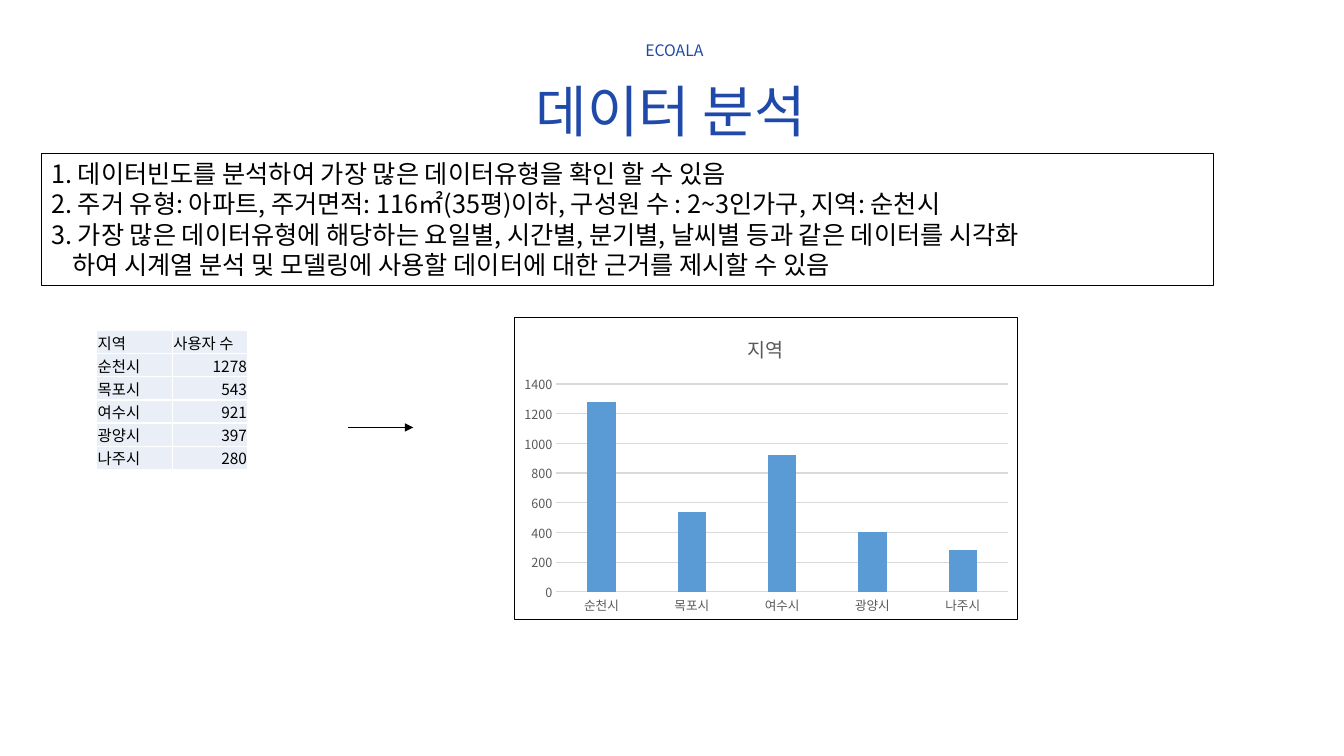
"""Build the data analysis slide with a region table and a column chart."""
from typing import NamedTuple

from lxml.etree import SubElement
from pptx import Presentation
from pptx.chart.data import CategoryChartData
from pptx.dml.color import RGBColor
from pptx.enum.chart import XL_CHART_TYPE, XL_TICK_MARK
from pptx.enum.shapes import MSO_CONNECTOR, MSO_SHAPE
from pptx.enum.text import MSO_ANCHOR, PP_ALIGN
from pptx.oxml import parse_xml
from pptx.oxml.ns import nsdecls, qn
from pptx.slide import Slide
from pptx.text.text import Font
from pptx.util import Pt

FONT = "Noto Sans CJK KR"
BLACK = RGBColor(0x00, 0x00, 0x00)
WHITE = RGBColor(0xFF, 0xFF, 0xFF)
BLUE = RGBColor(0x20, 0x4A, 0xA9)
BAR = RGBColor(0x5B, 0x9B, 0xD5)
CELL = RGBColor(0xEA, 0xEF, 0xF7)
GRID = RGBColor(0xD9, 0xD9, 0xD9)
GRAY = RGBColor(0x59, 0x59, 0x59)


class Heading(NamedTuple):
    text: str
    left: float
    top: float
    width: float
    height: float
    size: float
    spacing: float


class Region(NamedTuple):
    name: str
    users: int


HEADINGS = [
    Heading("데이터 분석", 139.7, 46.8, 679, 51.1, 40, 56),
    Heading("ECOALA", 416.2, 26.6, 131, 15.8, 11.3, 15.9),
]
FINDINGS = [
    "1. 데이터빈도를 분석하여 가장 많은 데이터유형을 확인 할 수 있음",
    "2. 주거 유형: 아파트, 주거면적: 116㎡(35평)이하, 구성원 수 : 2~3인가구, 지역: 순천시",
    "3. 가장 많은 데이터유형에 해당하는 요일별, 시간별, 분기별, 날씨별 등과 같은 데이터를 시각화\v"
    "하여 시계열 분석 및 모델링에 사용할 데이터에 대한 근거를 제시할 수 있음",
]
REGIONS = [
    Region("순천시", 1278),
    Region("목포시", 543),
    Region("여수시", 921),
    Region("광양시", 397),
    Region("나주시", 280),
]


def set_font(font: Font, size: float, color: RGBColor) -> None:
    font.size = Pt(size)
    font.bold = False
    font.color.rgb = color
    font.name = FONT


def add_heading(s: Slide, h: Heading) -> None:
    sp = s.shapes.add_textbox(Pt(h.left), Pt(h.top), Pt(h.width), Pt(h.height))
    tf = sp.text_frame
    tf.word_wrap = True
    tf.margin_left = tf.margin_right = tf.margin_top = tf.margin_bottom = 0
    p = tf.paragraphs[0]
    p.text = h.text
    p.alignment = PP_ALIGN.CENTER
    p.line_spacing = Pt(h.spacing)
    set_font(p.font, h.size, BLUE)


def add_findings(s: Slide) -> None:
    sp = s.shapes.add_shape(MSO_SHAPE.RECTANGLE, Pt(29.5), Pt(109.4), Pt(837), Pt(94.3))
    sp.shadow.inherit = False
    sp.fill.background()
    sp.line.color.rgb = BLACK
    sp.line.width = Pt(0.75)
    tf = sp.text_frame
    tf.word_wrap = True
    tf.vertical_anchor = MSO_ANCHOR.TOP
    for i, text in enumerate(FINDINGS):
        p = tf.add_paragraph() if i else tf.paragraphs[0]
        p.text = text
        p.alignment = PP_ALIGN.LEFT
        p.line_spacing = Pt(21.7)
        pPr = p._p.get_or_add_pPr()
        pPr.set("marL", str(Pt(15)))
        pPr.set("indent", str(Pt(-15)))
        set_font(p.font, 18, BLACK)


def add_arrow(s: Slide) -> None:
    sp = s.shapes.add_connector(MSO_CONNECTOR.STRAIGHT, Pt(248.4), Pt(305.3), Pt(295.2), Pt(305.3))
    sp.line.color.rgb = BLACK
    sp.line.width = Pt(0.5)
    SubElement(sp.line._get_or_add_ln(), qn("a:tailEnd"), type="triangle")
    SubElement(sp._element.spPr, qn("a:effectLst"))


def add_region_table(s: Slide) -> None:
    rows = [("지역", "사용자 수"), *REGIONS]
    frame = s.shapes.add_table(len(rows), 2, Pt(69.1), Pt(236.2), Pt(108), Pt(16.5 * len(rows)))
    table = frame.table
    table.first_row = table.horz_banding = False
    for r, values in enumerate(rows):
        for c, value in enumerate(values):
            cell = table.cell(r, c)
            cell.margin_left = cell.margin_right = Pt(0.72)
            cell.margin_top = Pt(0.5)
            cell.margin_bottom = 0
            cell.vertical_anchor = MSO_ANCHOR.MIDDLE
            tcPr = cell._tc.get_or_add_tcPr()
            for side in ("lnL", "lnR", "lnT", "lnB"):
                tcPr.append(parse_xml(
                    f'<a:{side} {nsdecls("a")} w="{Pt(1)}"><a:solidFill>'
                    f'<a:srgbClr val="{WHITE}"/></a:solidFill></a:{side}>'))
            cell.fill.solid()
            cell.fill.fore_color.rgb = CELL
            p = cell.text_frame.paragraphs[0]
            p.text = str(value)
            p.alignment = PP_ALIGN.RIGHT if r and c else PP_ALIGN.LEFT
            set_font(p.font, 11, BLACK)


def add_region_chart(s: Slide) -> None:
    data = CategoryChartData()
    data.categories = [region.name for region in REGIONS]
    data.add_series("지역", [round(region.users, -1) for region in REGIONS])
    chart = s.shapes.add_chart(
        XL_CHART_TYPE.COLUMN_CLUSTERED, Pt(366.8), Pt(226.5), Pt(360.4), Pt(216.5), data).chart
    set_font(chart.font, 10, BLACK)
    chart.has_legend = False
    chart.has_title = True
    p = chart.chart_title.text_frame.paragraphs[0]
    p.text = "지역"
    set_font(p.font, 14, GRAY)

    plot = chart.plots[0]
    plot.gap_width = 219
    plot.overlap = -27
    plot.vary_by_categories = False
    fill = plot.series[0].format.fill
    fill.solid()
    fill.fore_color.rgb = BAR

    for axis in (chart.category_axis, chart.value_axis):
        axis.major_tick_mark = axis.minor_tick_mark = XL_TICK_MARK.NONE
        set_font(axis.tick_labels.font, 9, GRAY)
    values = chart.value_axis
    values.minimum_scale, values.maximum_scale, values.major_unit = 0, 1400, 200
    values.format.line.fill.background()
    for line in (chart.category_axis.format.line, values.major_gridlines.format.line):
        line.color.rgb = GRID
        line.width = Pt(0.75)

    area = chart._chartSpace.chart.plotArea
    for old in area.findall(qn("c:layout")):
        area.remove(old)
    area.insert(0, parse_xml(
        f'<c:layout {nsdecls("c")}><c:manualLayout><c:layoutTarget val="inner"/>'
        '<c:xMode val="edge"/><c:yMode val="edge"/><c:x val="0.084"/><c:y val="0.22"/>'
        '<c:w val="0.897"/><c:h val="0.688"/></c:manualLayout></c:layout>'))
    chart._chartSpace.chart.addnext(parse_xml(
        f'<c:spPr {nsdecls("c", "a")}><a:noFill/><a:ln w="{Pt(0.75)}"><a:solidFill>'
        f'<a:srgbClr val="{BLACK}"/></a:solidFill></a:ln></c:spPr>'))


def main() -> None:
    prs = Presentation()
    prs.slide_width, prs.slide_height = Pt(960), Pt(540)
    s = prs.slides.add_slide(prs.slide_layouts[6])
    for heading in HEADINGS:
        add_heading(s, heading)
    add_findings(s)
    add_arrow(s)
    add_region_table(s)
    add_region_chart(s)
    prs.save("out.pptx")


if __name__ == "__main__":
    main()
